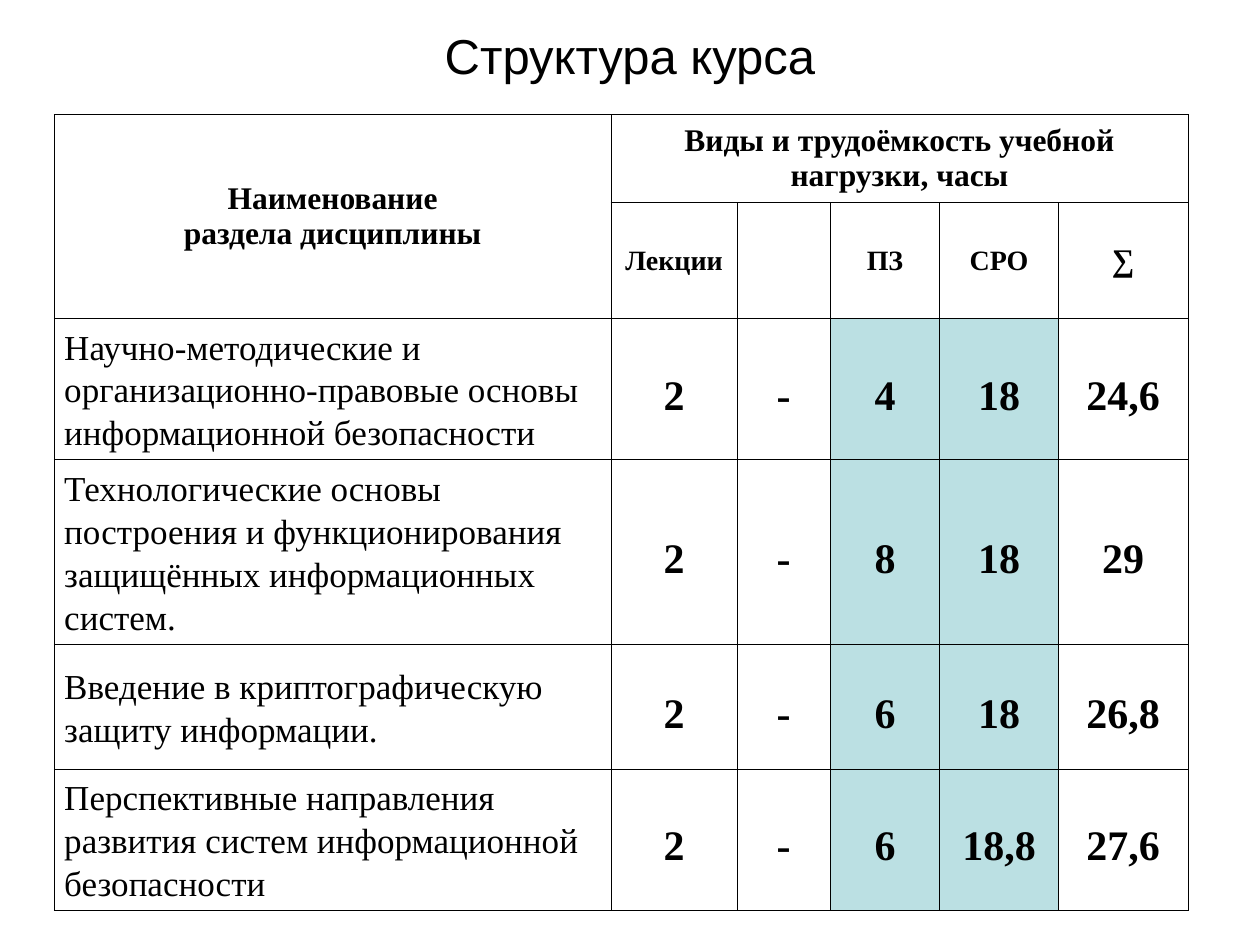
from lxml.etree import SubElement
from pptx import Presentation
from pptx.dml.color import RGBColor
from pptx.enum.text import MSO_ANCHOR as Anchor, PP_ALIGN as Align
from pptx.oxml.ns import qn
from pptx.util import Inches, Pt

COLORS = {"ink": "000000", "accent": "BBE0E3"}
COLUMNS = [4.42, 1, 0.74, 0.87, 0.94, 1.03]
ROWS = [0.7, 0.92, 1.1, 1.47, 0.99, 1.1]
ACCENT_COLUMNS = (3, 4)
KINDS = ["Лекции", "", "ПЗ", "СРО", "∑"]
SECTIONS = [
    ("Научно-методические и организационно-правовые основы информационной безопасности",
     "2", "-", "4", "18", "24,6"),
    ("Технологические основы построения и функционирования защищённых информационных систем.",
     "2", "-", "8", "18", "29"),
    ("Введение в криптографическую защиту информации.",
     "2", "-", "6", "18", "26,8"),
    ("Перспективные направления развития систем информационной безопасности",
     "2", "-", "6", "18,8", "27,6"),
]


class CourseSlide:
    title_font = "Arial"
    table_font = "Times New Roman"
    border_width = Pt(0.45)

    def __init__(self, deck):
        self.page = deck.slides.add_slide(deck.slide_layouts[5])

    def format_text(self, frame, font, size, bold=False, align=Align.CENTER,
                    spacing=None, after=None):
        for para in frame.paragraphs:
            para.alignment = align
            para.line_spacing = spacing
            para.space_after = after
            for span in para.runs:
                span.font.name = font
                span.font.size = Pt(size)
                span.font.bold = bold
                span.font.color.rgb = RGBColor.from_string(COLORS["ink"])

    def title(self, text, left, top, width, height):
        box = self.page.shapes.title
        box.left, box.top = Inches(left), Inches(top)
        box.width, box.height = Inches(width), Inches(height)
        box.text_frame.text = text
        box.text_frame.vertical_anchor = Anchor.MIDDLE
        self.format_text(box.text_frame, self.title_font, 28)

    def table(self, left, top, columns, rows):
        frame = self.page.shapes.add_table(
            len(rows), len(columns), Inches(left), Inches(top),
            Inches(sum(columns)), Inches(sum(rows)))
        table = frame.table
        table.first_row = table.horz_banding = False
        for column, width in zip(table.columns, columns):
            column.width = Inches(width)
        for row, height in zip(table.rows, rows):
            row.height = Inches(height)
        for cell in table.iter_cells():
            self.border(cell)
            cell.fill.background()
        return table

    def border(self, cell):
        properties = cell._tc.get_or_add_tcPr()
        for side in ("a:lnL", "a:lnR", "a:lnT", "a:lnB"):
            line = SubElement(properties, qn(side), w=str(self.border_width))
            fill = SubElement(line, qn("a:solidFill"))
            SubElement(fill, qn("a:srgbClr"), val=COLORS["ink"])

    def cell(self, cell, text, size, bold=True, inset=0.08, fill=None, **layout):
        cell.text_frame.text = text
        cell.vertical_anchor = Anchor.MIDDLE
        cell.margin_left = cell.margin_right = Inches(inset)
        cell.margin_top = cell.margin_bottom = Inches(0.05)
        if fill:
            cell.fill.solid()
            cell.fill.fore_color.rgb = RGBColor.from_string(COLORS[fill])
        self.format_text(cell.text_frame, self.table_font, size, bold, **layout)


def main():
    deck = Presentation()
    deck.slide_width, deck.slide_height = Inches(10), Inches(7.5)
    slide = CourseSlide(deck)
    slide.title("Структура курса", 0.75, 0.05, 8.5, 0.77)

    table = slide.table(0.43, 0.91, COLUMNS, ROWS)
    table.cell(0, 0).merge(table.cell(1, 0))
    table.cell(0, 1).merge(table.cell(0, 5))
    slide.cell(table.cell(0, 0), "Наименование\nраздела дисциплины", 18, inset=0.1)
    slide.cell(table.cell(0, 1), "Виды и трудоёмкость учебной нагрузки, часы", 18, inset=0.1)
    for col, kind in enumerate(KINDS, 1):
        slide.cell(table.cell(1, col), kind, 18 if kind == "∑" else 16, inset=0.1)

    for row, (name, *hours) in enumerate(SECTIONS, 2):
        slide.cell(table.cell(row, 0), name, 20, bold=False,
                   align=Align.LEFT, spacing=1.1, after=Pt(3))
        for col, value in enumerate(hours, 1):
            fill = "accent" if col in ACCENT_COLUMNS else None
            slide.cell(table.cell(row, col), value, 24, fill=fill, spacing=1.3)

    deck.save("out.pptx")


if __name__ == "__main__":
    main()
